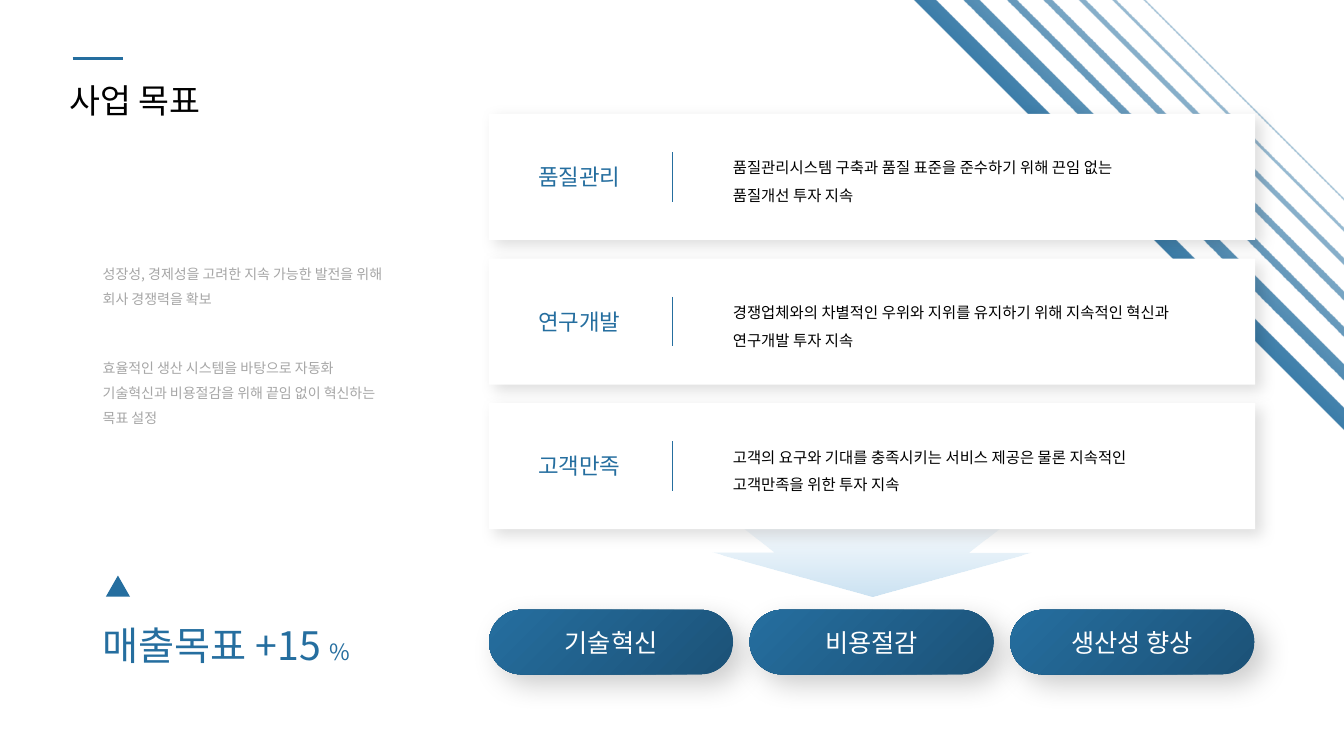
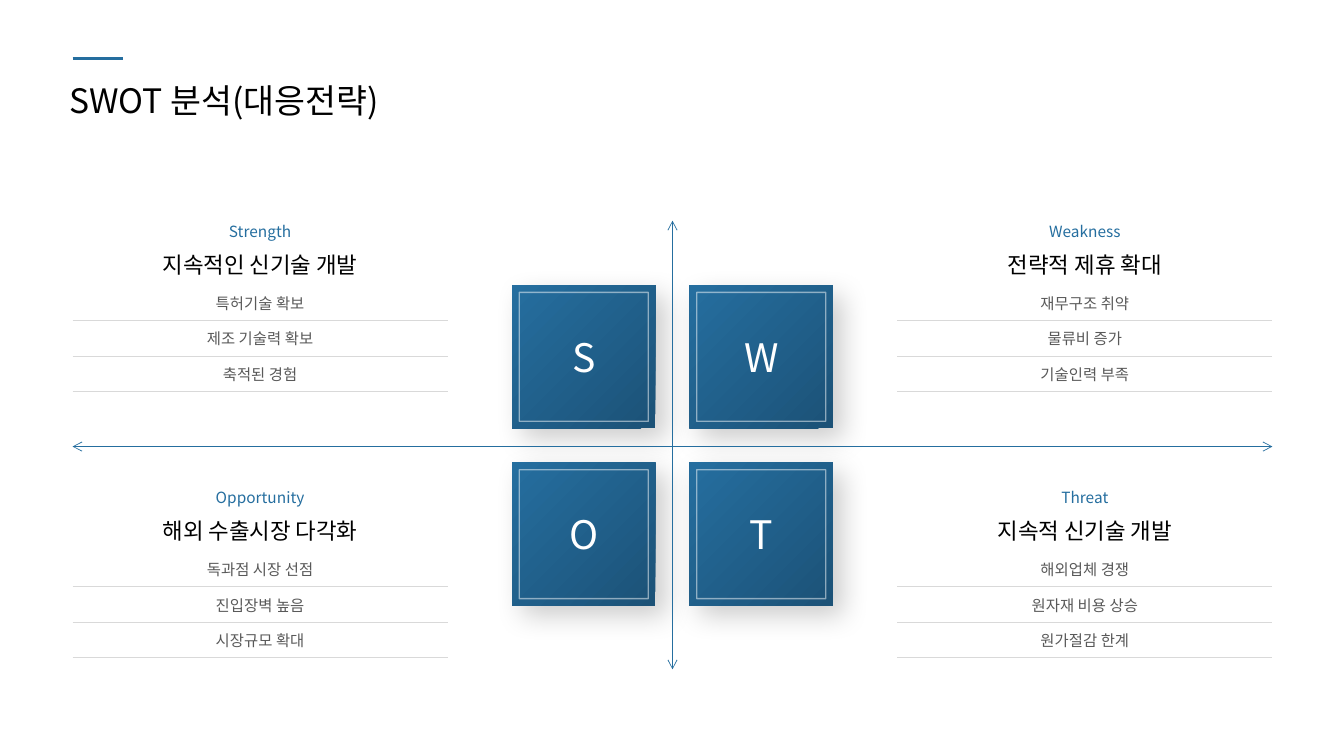
from lxml import etree
from pptx import Presentation
from pptx.dml.color import RGBColor
from pptx.enum.shapes import MSO_CONNECTOR, MSO_SHAPE
from pptx.enum.text import MSO_ANCHOR, MSO_AUTO_SIZE, PP_ALIGN
from pptx.oxml import parse_xml
from pptx.oxml.ns import nsdecls, qn
from pptx.util import Inches, Pt

STRAIGHT = MSO_CONNECTOR.STRAIGHT
RECTANGLE, PILL, TRIANGLE = MSO_SHAPE.RECTANGLE, MSO_SHAPE.ROUNDED_RECTANGLE, MSO_SHAPE.ISOSCELES_TRIANGLE
TOP, MIDDLE = MSO_ANCHOR.TOP, MSO_ANCHOR.MIDDLE
LEFT, CENTER = PP_ALIGN.LEFT, PP_ALIGN.CENTER
GROW, FIXED = MSO_AUTO_SIZE.SHAPE_TO_FIT_TEXT, MSO_AUTO_SIZE.NONE

FONT = "Noto Sans CJK KR"
COLORS = {
    "blue": "256E9F",
    "navy": "1C5277",
    "pale": "CCE3F3",
    "white": "FFFFFF",
    "black": "000000",
    "dark": "595959",
    "gray": "A6A6A6",
    "rule": "D9D9D9",
}
WIDTH = 13.33
NO_TABLE_STYLE = "{2D5ABB26-0587-4C30-8999-92F81FD0307C}"
FROM_TOP_LEFT = '<a:path path="circle"><a:fillToRect r="100000" b="100000"/></a:path>'


def write(frame, lines, color, size, align=LEFT, spacing=None):
    """Fill a text frame with one paragraph per line, all in the same style."""
    for index, line in enumerate(lines):
        paragraph = frame.add_paragraph() if index else frame.paragraphs[0]
        paragraph.add_run().text = line
        paragraph.alignment = align
        if spacing:
            paragraph.line_spacing = spacing
        font = paragraph.font
        font.size = Pt(size)
        font.color.rgb = RGBColor.from_string(COLORS[color])
        font.name = FONT
        properties = paragraph._p.pPr.find(qn("a:defRPr"))
        etree.SubElement(properties, qn("a:ea"), typeface=FONT)


def paint(shape, stops, direction="", shadow=None):
    """Fill without outline; stops are (position, color, opacity), one stop is a solid fill.

    shadow is (opacity, blur, distance), in percent and points.
    """
    shape.line.fill.background()
    shape.shadow.inherit = False
    properties = shape._element.spPr
    if len(stops) == 1:
        shape.fill.solid()
        shape.fill.fore_color.rgb = RGBColor.from_string(COLORS[stops[0][1]])
    else:
        shape.fill.gradient()
        stop_xml = "".join(
            f'<a:gs pos="{position * 1000}"><a:srgbClr val="{COLORS[color]}">'
            f'<a:alpha val="{opacity * 1000}"/></a:srgbClr></a:gs>'
            for position, color, opacity in stops)
        properties.replace(properties.find(qn("a:gradFill")), parse_xml(
            f'<a:gradFill {nsdecls("a")} rotWithShape="1"><a:gsLst>{stop_xml}</a:gsLst>'
            f'{direction}</a:gradFill>'))
    if shadow:
        opacity, blur, distance = shadow
        properties.find(qn("a:effectLst")).append(parse_xml(
            f'<a:outerShdw {nsdecls("a")} blurRad="{Pt(blur)}" dist="{Pt(distance)}" '
            f'dir="2700000" algn="tl" rotWithShape="0"><a:srgbClr val="{COLORS["black"]}">'
            f'<a:alpha val="{opacity * 1000}"/></a:srgbClr></a:outerShdw>'))


presentation = Presentation()
presentation.slide_width, presentation.slide_height = Inches(WIDTH), Inches(7.5)
blank = presentation.slide_layouts[6]
goals = presentation.slides.add_slide(blank)
swot = presentation.slides.add_slide(blank)

# Gathered while the slides are laid out, drawn at the end
texts = []  # slide, box, lines, color, size, spacing, anchor, auto size
tiles = []  # slide, preset, box, label, size
lines = []  # slide, begin, end, width, arrows

for slide, title in ((goals, "사업 목표"), (swot, "SWOT 분석(대응전략)")):
    lines.append((slide, (0.72, 0.58), (1.22, 0.58), 1.5, False))
    texts.append((slide, (0.59, 0.66, 8.33, 0.67), [title], "black", 24, None, MIDDLE, FIXED))

# Goals: arrow and diagonal stripes behind the cards
arrow_points = [(7.19, 5.09), (10.11, 5.09), (9.61, 5.48), (10.23, 5.48),
                (8.65, 5.92), (7.07, 5.48), (7.68, 5.48)]
arrow_points = [(Inches(x), Inches(y)) for x, y in arrow_points]
builder = goals.shapes.build_freeform(*arrow_points[0])
builder.add_line_segments(arrow_points[1:])
paint(builder.convert_to_shape(), [(0, "pale", 100), (100, "pale", 0)],
      '<a:lin ang="16200000" scaled="0"/>')

stripes = [(11.33, 11.35), (11.02, 11.06), (10.69, 10.76), (10.34, 10.43),
           (9.98, 10.08), (9.55, 9.71), (9.06, 9.28)]
builder = goals.shapes.build_freeform(Inches(stripes[0][0]), 0)
for index, (left, right) in enumerate(stripes):
    if index:
        builder.move_to(Inches(left), 0)
    builder.add_line_segments([
        (Inches(right), 0),
        (Inches(WIDTH), Inches(WIDTH - right)),
        (Inches(WIDTH), Inches(WIDTH - left)),
    ])
paint(builder.convert_to_shape(), [(0, "blue", 100), (44, "blue", 100), (100, "blue", 0)],
      '<a:lin ang="18900000" scaled="0"/>')

# Goals: three cards
cards = [
    ("품질관리", ["품질관리시스템 구축과 품질 표준을 준수하기 위해 끈임 없는", "품질개선 투자 지속"]),
    ("연구개발", ["경쟁업체와의 차별적인 우위와 지위를 유지하기 위해 지속적인 혁신과", "연구개발 투자 지속"]),
    ("고객만족", ["고객의 요구와 기대를 충족시키는 서비스 제공은 물론 지속적인", "고객만족을 위한 투자 지속"]),
]
for index, (heading, body) in enumerate(cards):
    top = 1.13 + index * 1.435
    card = goals.shapes.add_shape(RECTANGLE, Inches(4.85), Inches(top), Inches(7.6), Inches(1.25))
    paint(card, [(0, "white", 100)], shadow=(13, 10, 5))
    texts.append((goals, (5.24, top + 0.44, 1.94, 0.37), [heading], "blue", 16, None, TOP, GROW))
    texts.append((goals, (7.17, top + 0.31, 5.27, 0.63), body, "black", 11, 1.5, MIDDLE, GROW))
    lines.append((goals, (6.67, top + 0.38), (6.67, top + 0.87), 0.5, False))

for index, label in enumerate(["기술혁신", "비용절감", "생산성 향상"]):
    tiles.append((goals, PILL, (4.85 + index * 2.585, 6.05, 2.42, 0.64), label, 18))

# Goals: left column
texts.append((goals, (0.92, 2.5, 3.05, 0.58),
              ["성장성, 경제성을 고려한 지속 가능한 발전을 위해", "회사 경쟁력을 확보"],
              "gray", 10, 1.5, TOP, GROW))
texts.append((goals, (0.92, 3.43, 3.05, 0.58),
              ["효율적인 생산 시스템을 바탕으로 자동화 기술혁신과 비용절감을 위해 끝임 없이 혁신하는 목표 설정"],
              "gray", 10, 1.5, TOP, GROW))
marker = goals.shapes.add_shape(TRIANGLE, Inches(1.05), Inches(5.71), Inches(0.24), Inches(0.21))
paint(marker, [(0, "blue", 100)])
sales_box = goals.shapes.add_textbox(Inches(0.92), Inches(6.11), Inches(3.31), Inches(0.57))
sales_frame = sales_box.text_frame
sales_frame.word_wrap = True
sales_frame.auto_size = GROW
sales_frame.vertical_anchor = MIDDLE
write(sales_frame, ["매출목표 +15 "], "blue", 28)
percent = sales_frame.paragraphs[0].add_run()
percent.text = "%"
percent.font.size = Pt(16)

# SWOT: a table and a lettered tile per quadrant
quadrants = [
    ("Strength", "지속적인 신기술 개발", ["특허기술 확보", "제조 기술력 확보", "축적된 경험"]),
    ("Weakness", "전략적 제휴 확대", ["재무구조 취약", "물류비 증가", "기술인력 부족"]),
    ("Opportunity", "해외 수출시장 다각화", ["독과점 시장 선점", "진입장벽 높음", "시장규모 확대"]),
    ("Threat", "지속적 신기술 개발", ["해외업체 경쟁", "원자재 비용 상승", "원가절감 한계"]),
]
for index, (name, strategy, items) in enumerate(quadrants):
    row, column = divmod(index, 2)
    table = swot.shapes.add_table(
        4, 1, Inches((0.72, 8.9)[column]), Inches((2.08, 4.72)[row]), Inches(3.72), Inches(1.77)).table
    table.first_row = table.horz_banding = False
    table._tbl.tblPr.find(qn("a:tableStyleId")).text = NO_TABLE_STYLE
    for row_index, table_row in enumerate(table.rows):
        table_row.height = Inches(0.35 if row_index else 0.71)
        cell = table_row.cells[0]
        cell.vertical_anchor = MIDDLE
        cell.fill.background()
        if row_index:
            write(cell.text_frame, [items[row_index - 1]], "dark", 11, CENTER)
            cell._tc.tcPr.insert(0, parse_xml(
                f'<a:lnB {nsdecls("a")} w="{Pt(0.5)}"><a:solidFill>'
                f'<a:srgbClr val="{COLORS["rule"]}"/></a:solidFill></a:lnB>'))
        else:
            write(cell.text_frame, [name, strategy], "blue", 11, CENTER, 1.2)
            strategy_font = cell.text_frame.paragraphs[1].font
            strategy_font.size = Pt(16)
            strategy_font.color.rgb = RGBColor.from_string(COLORS["black"])
    box = (5.08 + column * 1.76, 2.83 + row * 1.76, 1.42, 1.42)
    tiles.append((swot, RECTANGLE, box, name[0], 28))

lines.append((swot, (6.67, 2.19), (6.67, 6.64), 0.5, True))
lines.append((swot, (0.72, 4.43), (12.62, 4.43), 0.5, True))

for slide, preset, box, label, size in tiles:
    tile = slide.shapes.add_shape(preset, *map(Inches, box))
    paint(tile, [(0, "blue", 100), (100, "navy", 100)], FROM_TOP_LEFT, (20, 20, 10))
    tile.text_frame.vertical_anchor = MIDDLE
    write(tile.text_frame, [label], "white", size, CENTER)
    if preset == PILL:
        tile.adjustments[0] = 0.5
    else:
        left, top, width, height = box
        frame_line = slide.shapes.add_shape(
            RECTANGLE, Inches(left + 0.07), Inches(top + 0.07), Inches(width - 0.14), Inches(height - 0.14))
        frame_line.shadow.inherit = False
        frame_line.fill.background()
        frame_line.line.width = Pt(1)
        frame_line.line.color.rgb = RGBColor.from_string(COLORS["white"])
        line_color = frame_line.line._ln.find(".//" + qn("a:srgbClr"))
        etree.SubElement(line_color, qn("a:alpha"), val="50000")

for slide, box, paragraphs, color, size, spacing, anchor, auto_size in texts:
    frame = slide.shapes.add_textbox(*map(Inches, box)).text_frame
    frame.word_wrap = True
    frame.auto_size = auto_size
    frame.vertical_anchor = anchor
    write(frame, paragraphs, color, size, LEFT, spacing)

for slide, begin, end, width, arrows in lines:
    connector = slide.shapes.add_connector(STRAIGHT, *map(Inches, begin + end))
    connector.line.width = Pt(width)
    connector.line.color.rgb = RGBColor.from_string(COLORS["blue"])
    etree.SubElement(connector._element.spPr, qn("a:effectLst"))
    if arrows:
        for tag in ("a:headEnd", "a:tailEnd"):
            etree.SubElement(connector.line._ln, qn(tag), type="arrow")

presentation.save("out.pptx")
